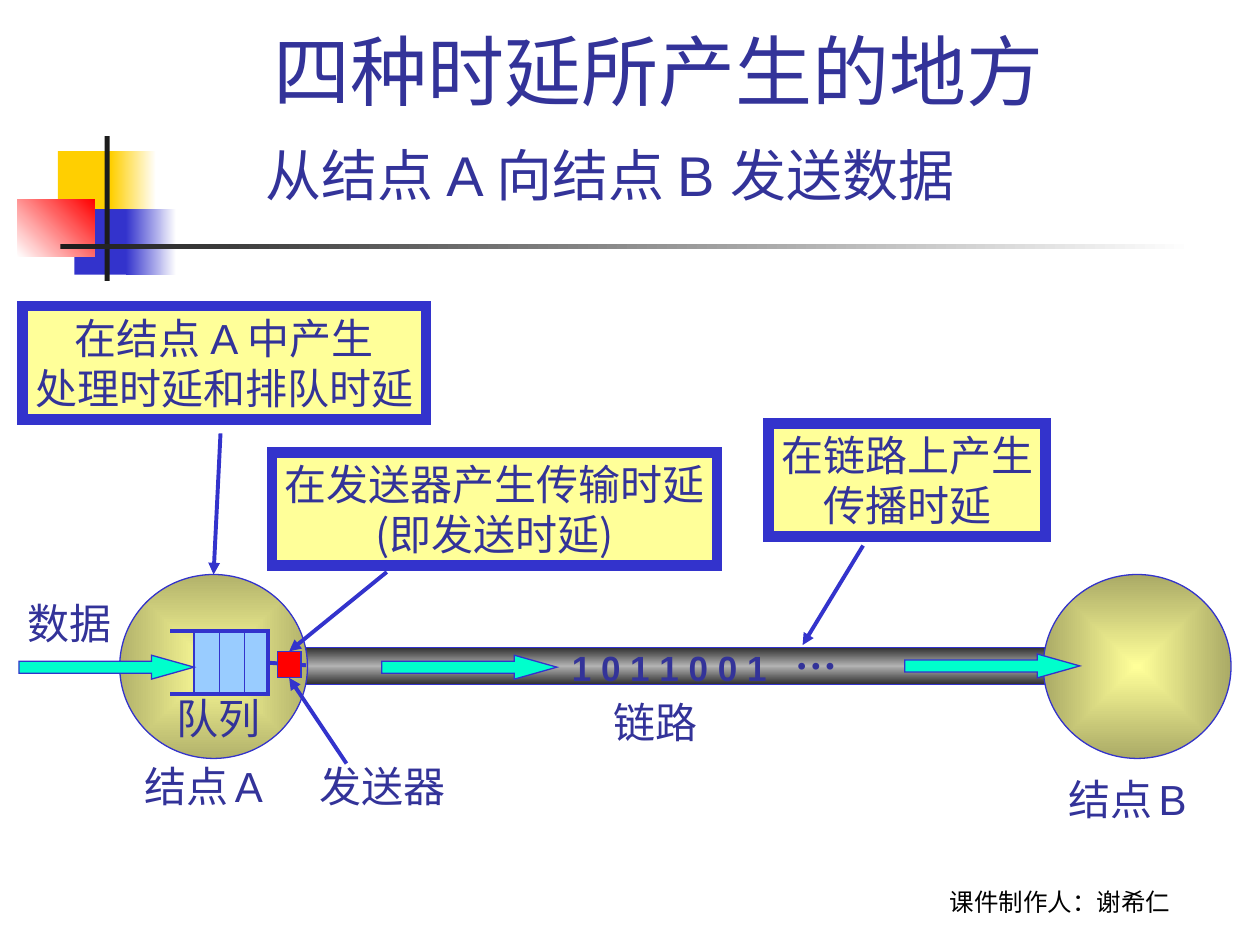
from dataclasses import dataclass

from lxml.etree import SubElement
from pptx import Presentation
from pptx.dml.color import RGBColor
from pptx.enum.shapes import MSO_CONNECTOR, MSO_SHAPE
from pptx.enum.text import MSO_ANCHOR, MSO_AUTO_SIZE, PP_ALIGN
from pptx.oxml import parse_xml
from pptx.oxml.ns import nsdecls, qn
from pptx.util import Inches, Pt


@dataclass(frozen=True)
class Theme:
    """Colours, fonts and sizes of the slide."""
    ink: str = "333399"
    blue: str = "3333CC"
    gold: str = "FFCF01"
    red: str = "FF0000"
    white: str = "FFFFFF"
    black: str = "000000"
    dark: str = "1C1C1C"
    cream: str = "FFFF99"
    olive_a: str = "B2B26B"
    olive_b: str = "AAAA66"
    steel: str = "313131"
    silver: str = "B2B2B2"
    sky: str = "99CCFF"
    mint: str = "00FFCC"
    cjk: str = "Noto Sans CJK SC"
    sans: str = "Arial"
    serif: str = "Times New Roman"
    credit_font: str = "Roboto"
    title: int = 44
    subtitle: int = 32
    body: int = 24
    bits: int = 20
    gap: int = 16
    credit: int = 14
    thin: float = 0.75
    medium: float = 2.25
    thick: float = 6


T = Theme()


def rgb(value):
    """Turn a hex string into a colour."""
    return RGBColor.from_string(value)


def set_line(sp, color, width):
    """Give a shape or connector a solid line with sharp corners."""
    sp.line.color.rgb = rgb(color)
    sp.line.width = Pt(width)
    SubElement(sp.line._get_or_add_ln(), qn("a:miter"), lim="800000")


def set_gradient(sp, colors, angle=None):
    """Fill with evenly spaced colours, linear or from the centre outwards."""
    step = 100000 // (len(colors) - 1)
    stops = "".join(f'<a:gs pos="{i * step}"><a:srgbClr val="{c}"/></a:gs>'
                    for i, c in enumerate(colors))
    if angle is None:
        course = ('<a:path path="rect"><a:fillToRect l="50000" t="50000" '
                  'r="50000" b="50000"/></a:path>')
    else:
        course = f'<a:lin ang="{angle * 60000}" scaled="0"/>'
    sp.fill.background()
    spPr = sp._element.spPr
    spPr.replace(spPr.find(qn("a:noFill")), parse_xml(
        f'<a:gradFill {nsdecls("a")} rotWithShape="1">'
        f'<a:gsLst>{stops}</a:gsLst>{course}</a:gradFill>'))


def add_box(s, at, fill, kind=MSO_SHAPE.RECTANGLE, line=None, angle=None):
    """Add a preset shape; a tuple of colours makes a gradient."""
    sp = s.shapes.add_shape(kind, *map(Inches, at))
    sp.shadow.inherit = False
    if isinstance(fill, tuple):
        set_gradient(sp, fill, angle)
    else:
        sp.fill.solid()
        sp.fill.fore_color.rgb = rgb(fill)
    if line:
        set_line(sp, T.blue, line)
    else:
        sp.line.fill.background()
    return sp


def fill_text(sp, lines, align=PP_ALIGN.LEFT, anchor=MSO_ANCHOR.TOP,
              wrap=False, color=T.ink):
    """Write lines made of (text, format values) runs."""
    tf = sp.text_frame
    fit = MSO_AUTO_SIZE.NONE if wrap else MSO_AUTO_SIZE.SHAPE_TO_FIT_TEXT
    frame = {"word_wrap": wrap, "auto_size": fit, "vertical_anchor": anchor}
    for name, value in frame.items():
        setattr(tf, name, value)
    for i, runs in enumerate(lines):
        p = tf.add_paragraph() if i else tf.paragraphs[0]
        p.alignment = align
        for text, values in runs:
            r = p.add_run()
            r.text = text
            for name, value in values.items():
                setattr(r.font, name, value)
            r.font.color.rgb = rgb(color)
            SubElement(r._r.rPr, qn("a:ea"), typeface=T.cjk)


def font(name, size=T.body, bold=False):
    """Collect the format values of a run."""
    return {"name": name, "size": Pt(size), "bold": bold}


def add_label(s, at, *runs, **layout):
    """Add a one-line text box."""
    fill_text(s.shapes.add_textbox(*map(Inches, at)), [runs], **layout)


def add_callout(s, at, *lines):
    """Add a framed yellow note."""
    sp = add_box(s, at, T.cream, line=T.thick)
    fill_text(sp, lines, align=PP_ALIGN.CENTER)


def add_line(s, start, end, width=T.medium, arrow=False, begin=None, finish=None):
    """Add a straight line, joined to (shape, site) pairs where given."""
    cx = s.shapes.add_connector(MSO_CONNECTOR.STRAIGHT, *map(Inches, start + end))
    if begin:
        cx.begin_connect(*begin)
    if finish:
        cx.end_connect(*finish)
    set_line(cx, T.blue, width)
    if arrow:
        SubElement(cx.line._get_or_add_ln(), qn("a:tailEnd"), type="triangle")
    SubElement(cx._element.spPr, qn("a:effectLst"))


def add_ornament(s):
    """Draw the coloured blocks and rules beside the title."""
    for at, fill, angle in (
            ((0.46, 1.2, 0.48, 0.52), T.gold, None),
            ((0.88, 1.2, 0.36, 0.52), (T.gold, T.white), 0),
            ((0.59, 1.66, 0.46, 0.52), T.blue, None),
            ((1, 1.66, 0.4, 0.52), (T.blue, T.white), 0),
            ((0.14, 1.58, 0.61, 0.46), (T.white, T.red), 315),
            ((0.83, 1.08, 0.04, 1.15), T.dark, None),
            ((0.48, 1.94, 9, 0.04), (T.dark, T.white), 0)):
        add_box(s, at, fill, angle=angle)


def add_queue(s, left=1.54, top=5.01, width=0.59, height=0.5):
    """Draw the queue with its cells and open-ended frame."""
    queue = add_box(s, (left, top, width, height), T.sky, line=T.thin)
    right, bottom, mouth = left + width, top + height, left - 0.19
    fb = s.shapes.build_freeform(Inches(mouth), Inches(top))
    fb.add_line_segments([(Inches(x), Inches(y)) for x, y in (
        (right, top), (right, bottom), (mouth, bottom))], close=False)
    frame = fb.convert_to_shape()
    frame.shadow.inherit = False
    frame.fill.background()
    set_line(frame, T.blue, T.medium)
    for i in range(3):
        x = left + 0.2 * i
        add_line(s, (x, top), (x, bottom), T.thin)
    return queue


def add_network(s):
    """Draw the link, both nodes, the queue, the sender and the data arrows."""
    add_box(s, (2.34, 5.14, 6.04, 0.29), (T.steel, T.silver, T.steel),
            line=T.thin, angle=90)
    node_a, _ = [add_box(s, (x, 4.56, 1.49, 1.46), (T.cream, edge),
                         MSO_SHAPE.OVAL, T.thin)
                 for x, edge in ((0.95, T.olive_a), (8.28, T.olive_b))]
    queue = add_queue(s)
    add_line(s, (2.13, 5.26), (2.43, 5.28), begin=(queue, 3))
    sender = add_box(s, (2.2, 5.17, 0.19, 0.21), T.red, line=T.thin)
    for x, y in ((3.03, 5.2), (0.15, 5.2), (7.18, 5.19)):
        arrow = add_box(s, (x, y, 1.39, 0.19), T.mint, MSO_SHAPE.RIGHT_ARROW, T.thin)
        arrow.adjustments[1] = 1.78
    return node_a, sender


def main():
    """Build and save the slide."""
    prs = Presentation()
    prs.slide_width, prs.slide_height = Inches(10), Inches(7.5)
    s = prs.slides.add_slide(prs.slide_layouts[6])
    cjk, sans, serif = font(T.cjk), font(T.sans), font(T.serif)
    add_ornament(s)
    add_label(s, (6.83, 6.82, 3.17, 0.5),
              ("课件制作人：谢希仁", font(T.credit_font, T.credit)),
              align=PP_ALIGN.CENTER, anchor=MSO_ANCHOR.BOTTOM, wrap=True, color=T.black)
    add_label(s, (1.38, 0.13, 7.84, 0.84), ("四种时延所产生的地方 ", font(T.cjk, T.title)),
              align=PP_ALIGN.CENTER, anchor=MSO_ANCHOR.BOTTOM, wrap=True)
    add_label(s, (2.01, 1.07, 6.36, 0.64),
              ("从结点 A 向结点 B 发送数据", font(T.sans, T.subtitle)))
    node_a, sender = add_network(s)
    add_label(s, (4.44, 5.08, 1.75, 0.44), ("1 0 1 1 0 0 1", font(T.sans, T.bits, True)))
    add_label(s, (6.21, 4.93, 0.53, 0.5), ("…", font(T.serif, bold=True)))
    for text, x, y, width in (("发送器", 2.44, 5.99, 1.24), ("队列", 1.3, 5.45, 0.9),
                              ("数据", 0.12, 4.69, 0.9), ("链路", 4.77, 5.48, 0.9)):
        add_label(s, (x, y, width, 0.5), (text, serif))
    for name, x, y in (("A", 1.05, 5.99), ("B", 8.38, 6.09)):
        add_label(s, (x, y, 1.25, 0.5), ("结点", serif),
                  (" ", font(T.sans, T.gap)), (name, sans))
    add_callout(s, (6.1, 3.36, 2.2, 0.9), [("在链路上产生", cjk)], [("传播时延", cjk)])
    add_callout(s, (2.16, 3.59, 3.53, 0.9), [("在发送器产生传输时延", cjk)],
                [("(即发送时延)", cjk)])
    add_callout(s, (0.18, 2.43, 3.2, 0.9),
                [("在结点 ", cjk), ("A ", sans), ("中产生", cjk)],
                [("处理时延和排队时延", cjk)])
    for start, end, finish in (((6.85, 4.33), (6.37, 5.12), None),
                               ((3.07, 4.54), (2.28, 5.2), (sender, 0)),
                               ((2.75, 6.06), (2.28, 5.36), (sender, 2)),
                               ((1.75, 3.44), (1.69, 4.54), (node_a, 0))):
        add_line(s, start, end, arrow=True, finish=finish)
    prs.save("out.pptx")


if __name__ == "__main__":
    main()
